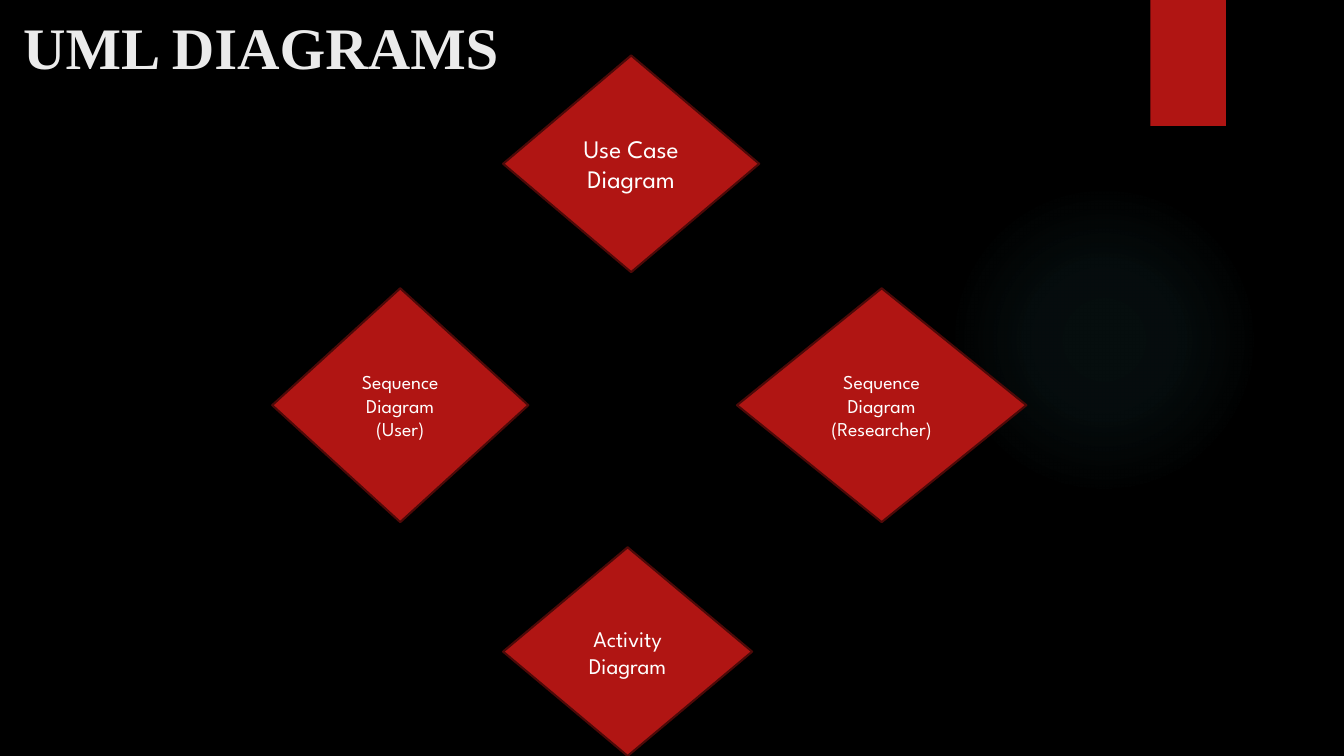
from lxml import etree
from pptx import Presentation
from pptx.dml.color import RGBColor
from pptx.enum.shapes import MSO_SHAPE
from pptx.enum.text import MSO_ANCHOR, PP_ALIGN
from pptx.oxml import parse_xml
from pptx.oxml.ns import nsdecls, qn
from pptx.util import Inches, Pt

BLACK = RGBColor(0x00, 0x00, 0x00)
RED = RGBColor(0xB0, 0x15, 0x13)
DARK_RED = RGBColor(0x4D, 0x09, 0x08)
TEAL = RGBColor(0x50, 0xB9, 0xC1)
OFF_WHITE = RGBColor(0xEB, 0xEB, 0xEB)
WHITE = RGBColor(0xFF, 0xFF, 0xFF)

DIAMOND, ELLIPSE, RECTANGLE = MSO_SHAPE.DIAMOND, MSO_SHAPE.OVAL, MSO_SHAPE.RECTANGLE
MIDDLE, BOTTOM = MSO_ANCHOR.MIDDLE, MSO_ANCHOR.BOTTOM
LEFT, CENTER = PP_ALIGN.LEFT, PP_ALIGN.CENTER

TITLE_FONT = "Times New Roman"
LABEL_FONT = "League Spartan"
GLOW_STOPS = [(0, 7), (36, 6), (69, 0)]  # position %, opacity %

# label, text size, box (left, top, width, height)
DIAGRAMS = [
    ("Use Case Diagram", 18, (4.99, 0.55, 2.54, 2.15)),
    ("Sequence Diagram (User)", 14, (2.7, 2.86, 2.54, 2.32)),
    ("Sequence Diagram (Researcher)", 14, (7.31, 2.86, 2.87, 2.32)),
    ("Activity Diagram", 16, (4.99, 5.43, 2.47, 2.07)),
]


def write_text(frame, text, *, font, size, color, bold=False, align=LEFT, anchor=MIDDLE):
    frame.word_wrap = True
    frame.vertical_anchor = anchor
    paragraph = frame.paragraphs[0]
    paragraph.alignment = align
    run = paragraph.add_run()
    run.text = text
    run.font.name = font
    run.font.size = Pt(size)
    run.font.bold = bold
    run.font.color.rgb = color


def add_filled(slide, preset, box, color):
    """Add a flat preset shape without outline or shadow."""
    shape = slide.shapes.add_shape(preset, *map(Inches, box))
    shape.shadow.inherit = False
    shape.fill.solid()
    shape.fill.fore_color.rgb = color
    shape.line.fill.background()
    return shape


def add_glow(slide, box):
    """Add a circle that fades from its centre outwards."""
    glow = add_filled(slide, ELLIPSE, box, TEAL)
    gradient = parse_xml(f'<a:gradFill rotWithShape="1" {nsdecls("a")}/>')
    stops = etree.SubElement(gradient, qn("a:gsLst"))
    for position, opacity in GLOW_STOPS:
        stop = etree.SubElement(stops, qn("a:gs"), pos=str(position * 1000))
        color = etree.SubElement(stop, qn("a:srgbClr"), val=str(TEAL))
        etree.SubElement(color, qn("a:alpha"), val=str(opacity * 1000))
    circle = etree.SubElement(gradient, qn("a:path"), {"path": "circle"})
    etree.SubElement(circle, qn("a:fillToRect"), dict.fromkeys("ltrb", "50000"))
    properties = glow.element.spPr
    properties.replace(properties.find(qn("a:solidFill")), gradient)


def place_title(slide, text, box):
    title = slide.shapes.title
    title.left, title.top, title.width, title.height = map(Inches, box)
    title.text_frame.margin_bottom = 0
    write_text(title.text_frame, text, font=TITLE_FONT, size=42,
               color=OFF_WHITE, bold=True, anchor=BOTTOM)


def add_diagram(slide, label, size, box):
    diamond = add_filled(slide, DIAMOND, box, RED)
    diamond.line.color.rgb = DARK_RED
    diamond.line.width = Pt(1.5)
    write_text(diamond.text_frame, label, font=LABEL_FONT, size=size,
               color=WHITE, align=CENTER)


def main():
    presentation = Presentation()
    presentation.slide_width = Inches(13.33)
    presentation.slide_height = Inches(7.5)
    slide = presentation.slides.add_slide(presentation.slide_layouts[5])
    slide.background.fill.solid()
    slide.background.fill.fore_color.rgb = BLACK

    add_glow(slide, (9.41, 1.83, 3.08, 3.08))
    add_filled(slide, RECTANGLE, (11.41, 0, 0.75, 1.25), RED)
    place_title(slide, "UML DIAGRAMS", (0.13, 0, 11.5, 0.81))
    for label, size, box in DIAGRAMS:
        add_diagram(slide, label, size, box)

    presentation.save("out.pptx")


if __name__ == "__main__":
    main()
